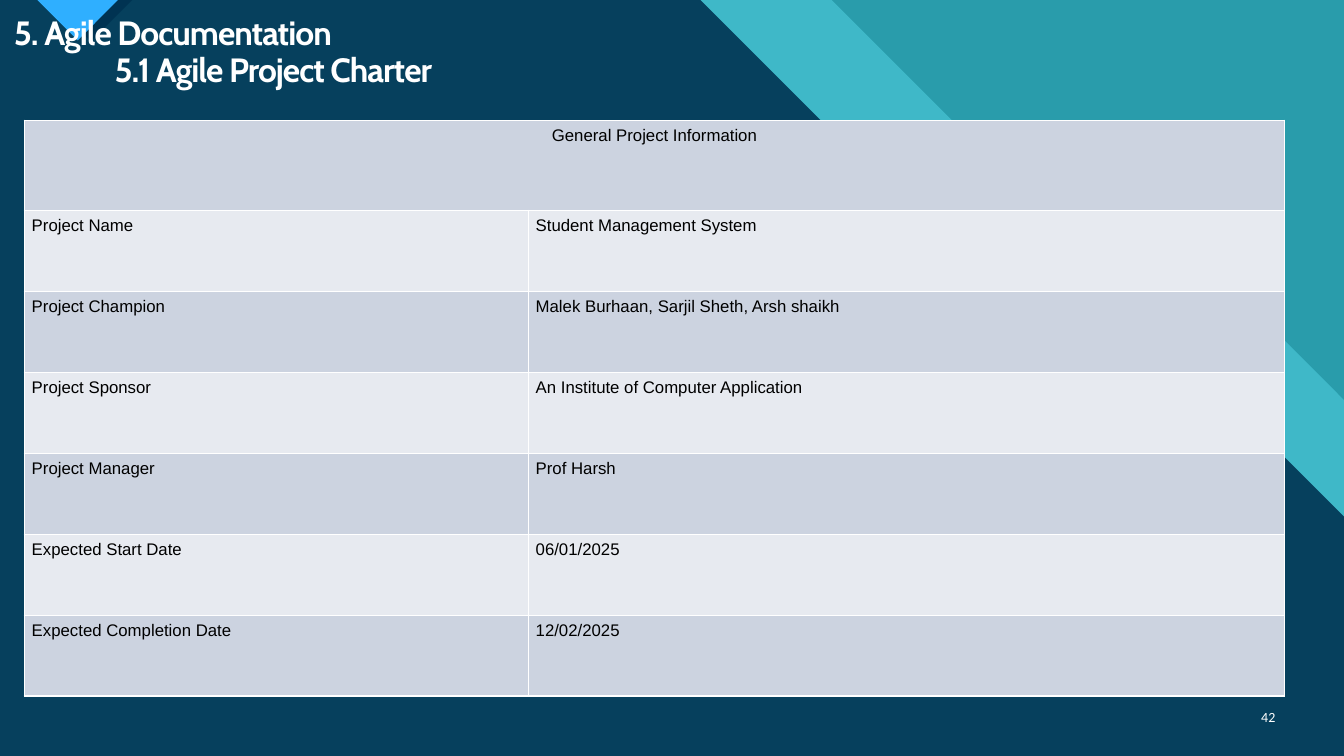
"""Build the Agile Project Charter slide."""
from lxml import etree
from pptx import Presentation, util as u
from pptx.dml.color import RGBColor
from pptx.enum import text
from pptx.oxml.ns import qn

COLORS = {
    "teal": "299CAB", "aqua": "47C3D3", "navy": "003352", "blue": "2FAFFF",
    "white": "FFFFFF", "black": "000000", "row_dark": "CCD3E0", "row_light": "E7EAF0",
}
WIDTH, HEIGHT = 33.87, 19.05
CHARTER = [
    ("General Project Information", ""),
    ("Project Name", "Student Management System"),
    ("Project Champion", "Malek Burhaan, Sarjil Sheth, Arsh shaikh"),
    ("Project Sponsor", "An Institute of Computer Application"),
    ("Project Manager", "Prof Harsh"),
    ("Expected Start Date", "06/01/2025"),
    ("Expected Completion Date", "12/02/2025"),
]
BACKDROP = [
    ("teal", 100, [(0, 0), (WIDTH, 0), (WIDTH, HEIGHT), (0, HEIGHT)]),
    ("aqua", 74, [(0, 0), (20.96, 0), (28.5, 7.55), (31.35, 7.55),
                  (WIDTH, 10.08), (WIDTH, HEIGHT), (0, HEIGHT)]),
    ("navy", 90, [(0, 0), (17.65, 0), (25.2, 7.55), (28.4, 7.55),
                  (WIDTH, 13.02), (WIDTH, HEIGHT), (0, HEIGHT)]),
    ("navy", 100, [(1.22, 0), (2.29, 1.04), (3.33, 0)]),
    ("blue", 100, [(0.94, 0), (1.96, 1.02), (2.97, 0)]),
]


def add_run(paragraph, words, font, size, color, bold=False):
    run = paragraph.add_run()
    run.text = words
    run.font.name, run.font.size, run.font.bold = font, u.Pt(size), bold
    run.font.color.rgb = RGBColor.from_string(COLORS[color])
    return run


presentation = Presentation()
presentation.slide_width, presentation.slide_height = u.Cm(WIDTH), u.Cm(HEIGHT)
slide = presentation.slides.add_slide(presentation.slide_layouts[6])
slide.background.fill.solid()
slide.background.fill.fore_color.rgb = RGBColor.from_string(COLORS["aqua"])

for color, opacity, corners in BACKDROP:
    points = [(u.Cm(x), u.Cm(y)) for x, y in corners]
    builder = slide.shapes.build_freeform(*points[0])
    builder.add_line_segments(points[1:], close=True)
    shape = builder.convert_to_shape()
    shape.shadow.inherit = False
    shape.line.fill.background()
    shape.fill.solid()
    shape.fill.fore_color.rgb = RGBColor.from_string(COLORS[color])
    if opacity < 100:
        srgb = shape.fill._xPr.find(qn("a:solidFill")).find(qn("a:srgbClr"))
        etree.SubElement(srgb, qn("a:alpha"), val=str(opacity * 1000))

title = slide.shapes.add_textbox(u.Cm(0.1), u.Cm(0.3), u.Cm(31.14), u.Cm(2.11))
title.text_frame.word_wrap = True
paragraph = title.text_frame.paragraphs[0]
paragraph.line_spacing = 0.9
tabs = etree.SubElement(paragraph._p.get_or_add_pPr(), qn("a:tabLst"))
etree.SubElement(tabs, qn("a:tab"), pos=str(u.Cm(2.54)), algn="l")
for index, words in enumerate(["5. Agile Documentation", "\t5.1 Agile Project Charter"]):
    if index:
        paragraph.add_line_break()
    run = add_run(paragraph, words, "Cabin", 24, "white", bold=True)
    run.font._element.set("spc", "-70")

number = slide.shapes.add_textbox(u.Cm(31.27), u.Cm(17.55), u.Cm(1.12), u.Cm(1.02))
number.text_frame.word_wrap = True
number.text_frame.vertical_anchor = text.MSO_ANCHOR.MIDDLE
paragraph = number.text_frame.paragraphs[0]
paragraph.alignment = text.PP_ALIGN.RIGHT
add_run(paragraph, "42", "Calibri", 10, "white")

table = slide.shapes.add_table(
    len(CHARTER), 2, u.Cm(0.61), u.Cm(3.03), u.Cm(31.77), u.Cm(14.51)).table
table.columns[0].width, table.columns[1].width = u.Cm(12.7), u.Cm(19.07)
for row_index, entries in enumerate(CHARTER):
    table.rows[row_index].height = u.Cm(2.04 if row_index else 2.27)
    for column_index, words in enumerate(entries):
        cell = table.cell(row_index, column_index)
        cell.margin_left = cell.margin_right = u.Cm(0.19)
        cell.margin_top = cell.margin_bottom = 0
        properties = cell._tc.get_or_add_tcPr()
        for side in ("lnL", "lnR", "lnT", "lnB"):
            border = etree.SubElement(properties, qn(f"a:{side}"), w=str(u.Pt(1)))
            fill = etree.SubElement(border, qn("a:solidFill"))
            etree.SubElement(fill, qn("a:srgbClr"), val=COLORS["white"])
        cell.fill.solid()
        band = "row_light" if row_index % 2 else "row_dark"
        cell.fill.fore_color.rgb = RGBColor.from_string(COLORS[band])
        if words:
            paragraph = cell.text_frame.paragraphs[0]
            paragraph.line_spacing, paragraph.space_after = 1.3, u.Pt(8)
            add_run(paragraph, words, "Arial", 12, "black")
table.cell(0, 0).merge(table.cell(0, 1))
table.cell(0, 0).text_frame.paragraphs[0].alignment = text.PP_ALIGN.CENTER

presentation.save("out.pptx")
